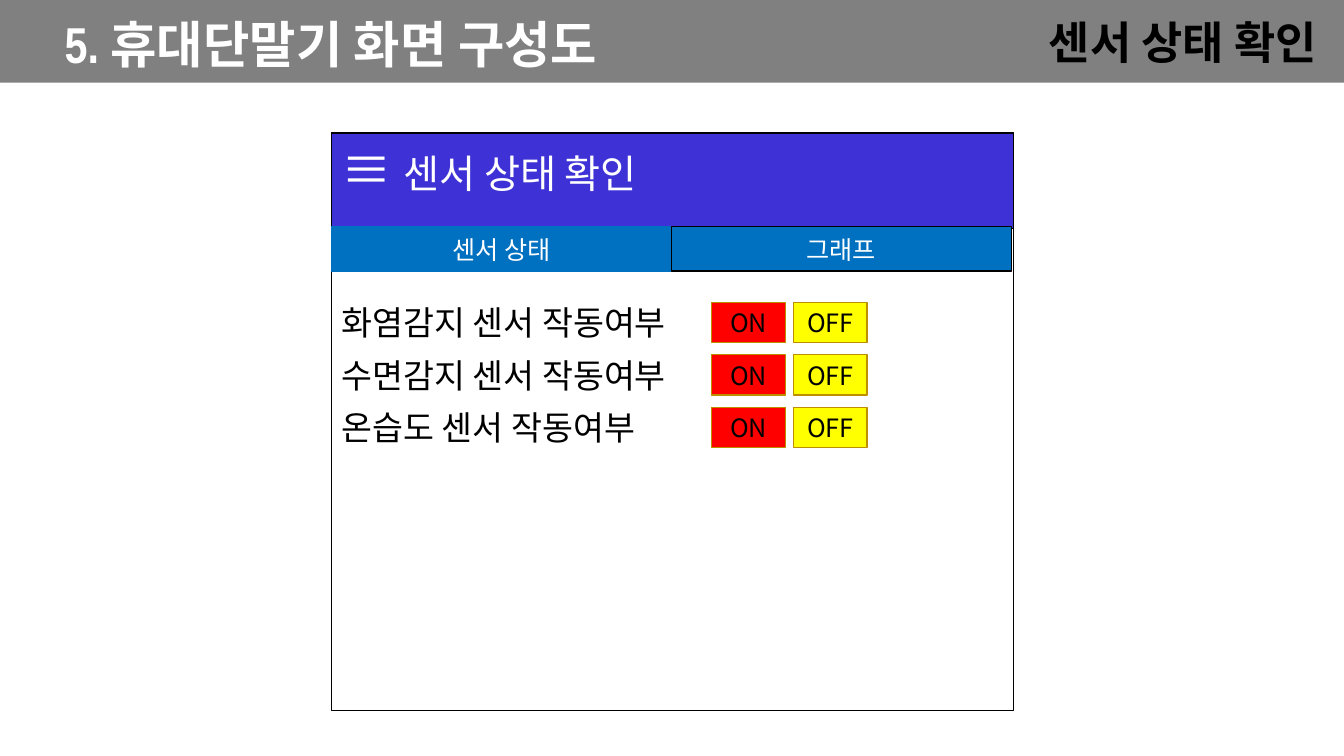
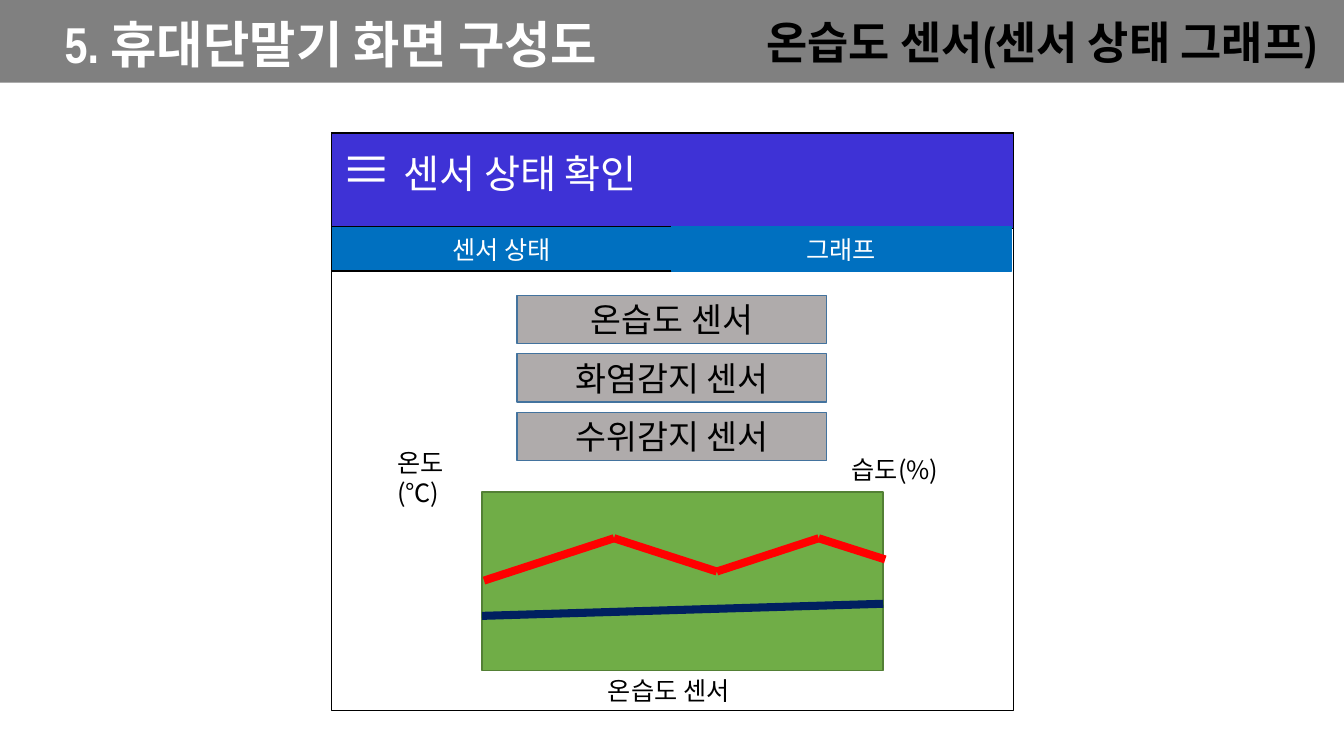
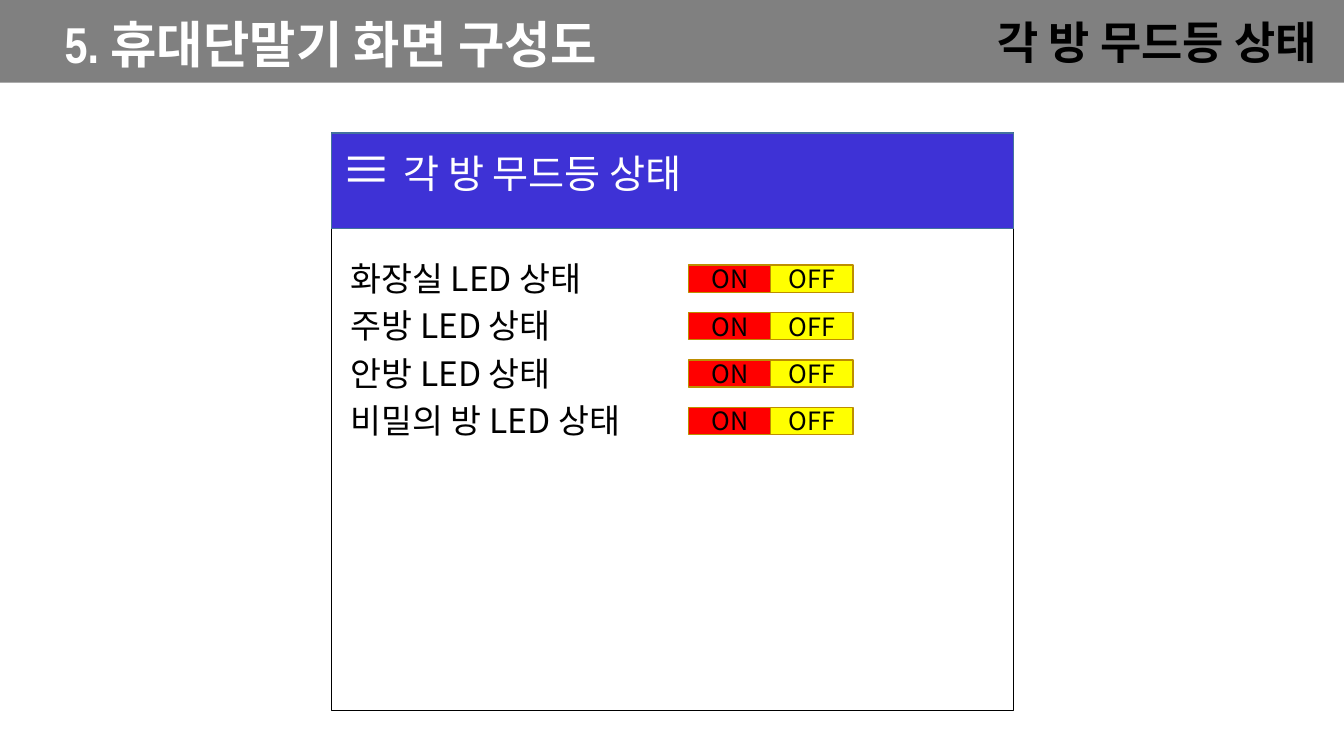
"""Build three slides that lay out the screens of a mobile home-monitoring app."""
from itertools import pairwise

from lxml import etree
from pptx import Presentation
from pptx.dml.color import RGBColor
from pptx.enum.shapes import MSO_CONNECTOR, MSO_SHAPE
from pptx.enum.text import MSO_ANCHOR, PP_ALIGN
from pptx.oxml.ns import qn
from pptx.util import Inches, Pt

RECT, STRAIGHT = MSO_SHAPE.RECTANGLE, MSO_CONNECTOR.STRAIGHT
LEFT, CENTER, RIGHT = PP_ALIGN.LEFT, PP_ALIGN.CENTER, PP_ALIGN.RIGHT
TOP, MIDDLE = MSO_ANCHOR.TOP, MSO_ANCHOR.MIDDLE

BODY_FONT, TITLE_FONT = "Noto Sans CJK KR", "Arial Narrow"
COLORS = {
    "black": "000000", "white": "FFFFFF", "band": "808080", "header": "3E32D6",
    "tab": "0070C0", "on": "FF0000", "off": "FFFF00", "switch_line": "BD8E00",
    "button": "AFABAB", "blue_line": "43739E", "plot": "70AD47",
    "plot_line": "538035", "temperature": "FF0000", "humidity": "002060",
}

TITLE = "5. 휴대단말기 화면 구성도"
TABS = ["센서 상태", "그래프"]
SWITCHES = [("ON", "on"), ("OFF", "off")]
SENSOR_ROWS = ["화염감지 센서 작동여부", "수면감지 센서 작동여부", "온습도 센서 작동여부"]
LED_ROWS = ["화장실 LED 상태", "주방 LED 상태", "안방 LED 상태", "비밀의 방 LED 상태"]
GRAPH_BUTTONS = ["온습도 센서", "화염감지 센서", "수위감지 센서"]
GRAPH_LABELS = [
    ("온도(℃)", 3.84, 4.39, 1.07),
    ("습도(%)", 8.35, 4.46, 1.16),
    ("온습도 센서", 5.93, 6.65, 1.81),
]
GRAPH_LINES = {
    "temperature": [(4.8, 5.76), (6.09, 5.34), (7.11, 5.67), (8.12, 5.34), (8.78, 5.55)],
    "humidity": [(4.78, 6.11), (8.76, 5.99)],
}
PHONE_X, PHONE_Y, PHONE_W = 3.29, 1.32, 6.76


def rgb(name):
    return RGBColor.from_string(COLORS[name])


def add_run(p, text, size=18, color="black", font=BODY_FONT, bold=False):
    r = p.add_run()
    r.text = text
    r.font.size, r.font.bold, r.font.name = Pt(size), bold, font
    r.font.color.rgb = rgb(color)
    etree.SubElement(r._r.get_or_add_rPr(), qn("a:ea"), typeface=BODY_FONT)


def write(sp, text, align=LEFT, anchor=TOP, spacing=None, **fmt):
    tf = sp.text_frame
    tf.word_wrap, tf.vertical_anchor = True, anchor
    p = tf.paragraphs[0]
    p.alignment, p.line_spacing = align, spacing
    add_run(p, text, **fmt)
    return p


def add_text(s, text, x, y, w, h, **fmt):
    sp = s.shapes.add_textbox(Inches(x), Inches(y), Inches(w), Inches(h))
    return write(sp, text, **fmt)


def add_box(s, x, y, w, h, fill=None, line=None, width=1, text=None, **fmt):
    sp = s.shapes.add_shape(RECT, Inches(x), Inches(y), Inches(w), Inches(h))
    sp.shadow.inherit = False
    if fill:
        sp.fill.solid()
        sp.fill.fore_color.rgb = rgb(fill)
    else:
        sp.fill.background()
    if line:
        sp.line.color.rgb = rgb(line)
        sp.line.width = Pt(width)
    else:
        sp.line.fill.background()
    if text:
        write(sp, text, align=CENTER, anchor=MIDDLE, **fmt)


def add_line(s, start, end, color):
    cx = s.shapes.add_connector(STRAIGHT, *(Inches(v) for v in start + end))
    cx.line.color.rgb = rgb(color)
    cx.line.width = Pt(5.75)
    etree.SubElement(cx._element.spPr, qn("a:effectLst"))


def add_screen(prs, subtitle, heading, header_line="black"):
    s = prs.slides.add_slide(prs.slide_layouts[5])
    add_box(s, 0, 0, 13.33, 0.82, "band")
    heading_fmt = dict(anchor=MIDDLE, spacing=0.9, font=TITLE_FONT, bold=True)
    add_text(s, subtitle, 1.66, -0.28, 11.5, 1.45, align=RIGHT, size=32, **heading_fmt)
    title = s.shapes.title
    title.left, title.top, title.width, title.height = (
        Inches(v) for v in (0.54, -0.26, 11.5, 1.45))
    write(title, TITLE, size=36, color="white", **heading_fmt)
    s.shapes._spTree.append(title._element)

    add_box(s, PHONE_X, PHONE_Y, PHONE_W, 5.73, "white", "black")
    add_box(s, PHONE_X, PHONE_Y, PHONE_W, 0.95, "header", header_line)
    p = add_text(s, "≡ ", PHONE_X, PHONE_Y, PHONE_W, 0.71, size=36, color="white")
    add_run(p, heading, size=28, color="white")
    return s


def add_tabs(s, active):
    for i, name in enumerate(TABS):
        add_box(s, PHONE_X + i * 3.37, 2.25, 3.37, 0.44, "tab",
                "tab" if i == active else "black", text=name, color="white")


def add_switch_rows(s, rows, x, y, step, switch_x, switch_dy, switch_step, w, h):
    for i, label in enumerate(rows):
        row_y = y + i * step
        add_text(s, label, x, row_y, 3.77, 0.5, size=24)
        for j, (state, fill) in enumerate(SWITCHES):
            add_box(s, switch_x + j * switch_step, row_y + switch_dy, w, h,
                    fill, "switch_line", text=state)


def add_graph(s):
    for i, name in enumerate(GRAPH_BUTTONS):
        add_box(s, 5.13, 2.93 + i * 0.58, 3.07, 0.48, "button", "blue_line",
                text=name, size=24)
    add_box(s, 4.78, 4.88, 3.98, 1.77, "plot", "plot_line")
    for color, points in GRAPH_LINES.items():
        for start, end in pairwise(points):
            add_line(s, start, end, color)
    for text, x, y, w in GRAPH_LABELS:
        add_text(s, text, x, y, w, 0.4)


def main():
    prs = Presentation()
    prs.slide_width, prs.slide_height = Inches(13.33), Inches(7.5)

    s = add_screen(prs, "센서 상태 확인", "센서 상태 확인")
    add_tabs(s, active=0)
    add_switch_rows(s, SENSOR_ROWS, x=3.29, y=2.95, step=0.52, switch_x=7.06,
                    switch_dy=0.05, switch_step=0.81, w=0.73, h=0.4)

    s = add_screen(prs, "온습도 센서(센서 상태 그래프)", "센서 상태 확인")
    add_tabs(s, active=1)
    add_graph(s)

    s = add_screen(prs, "각 방 무드등 상태", "각 방 무드등 상태", header_line="blue_line")
    add_switch_rows(s, LED_ROWS, x=3.38, y=2.51, step=0.47, switch_x=6.83,
                    switch_dy=0.12, switch_step=0.81, w=0.82, h=0.27)

    prs.save("out.pptx")


if __name__ == "__main__":
    main()
